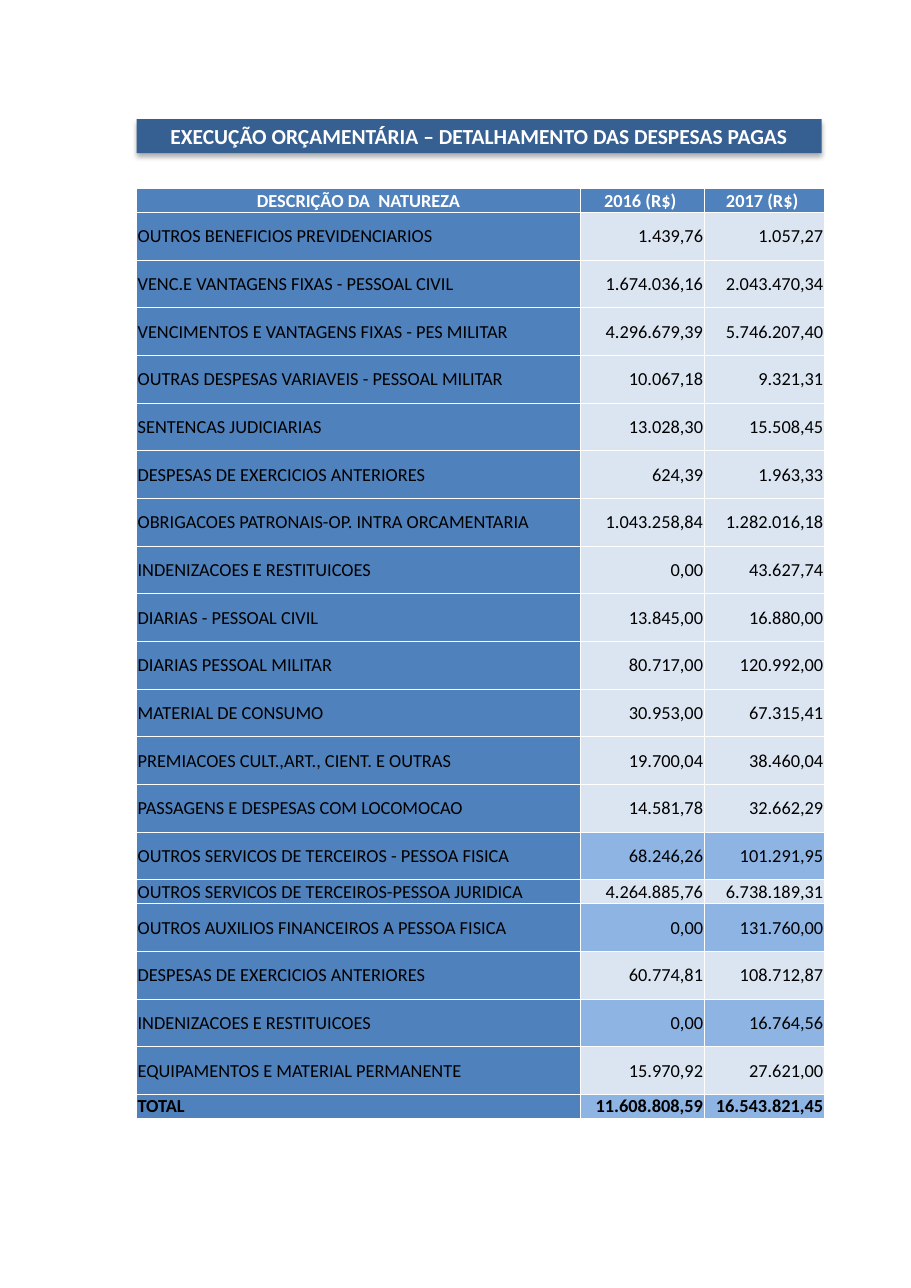
"""Build the budget execution slide: a title bar above a table of paid expenses."""
from typing import NamedTuple

from lxml import etree
from pptx import Presentation
from pptx.dml.color import RGBColor
from pptx.enum.text import MSO_ANCHOR, MSO_AUTO_SIZE, PP_ALIGN
from pptx.oxml.ns import qn
from pptx.util import Pt

LEFT, CENTER, RIGHT = PP_ALIGN.LEFT, PP_ALIGN.CENTER, PP_ALIGN.RIGHT
MIDDLE = MSO_ANCHOR.MIDDLE
NO_AUTOFIT = MSO_AUTO_SIZE.NONE

COLORS = {
    "title": "376092",
    "header": "4F81BC",
    "label": "4F81BD",
    "pale": "DBE5F1",
    "strong": "8DB4E3",
    "white": "FFFFFF",
    "black": "000000",
}
FONT_NAME = "Calibri"
TITLE_ONLY = 5
LEFT_EDGE = Pt(89.3)
COLUMN_WIDTHS = (Pt(290.2), Pt(80.8), Pt(78.6))
SHORT_ROW, TALL_ROW = Pt(15.6), Pt(31.16)


class Expense(NamedTuple):
    """One line of the table, with its look."""
    nature: str
    paid_2016: str
    paid_2017: str
    value_fill: str = "pale"
    label_fill: str = "label"
    height: int = TALL_ROW
    ink: str = "black"
    bold: bool = False
    alignments: tuple = (LEFT, RIGHT, RIGHT)


EXPENSES = (
    Expense("DESCRIÇÃO DA  NATUREZA", "2016 (R$) ", "2017 (R$) ", "header", "header",
            SHORT_ROW, "white", True, (CENTER, CENTER, CENTER)),
    Expense("OUTROS BENEFICIOS PREVIDENCIARIOS", "1.439,76", "1.057,27"),
    Expense("VENC.E VANTAGENS FIXAS - PESSOAL CIVIL", "1.674.036,16", "2.043.470,34"),
    Expense("VENCIMENTOS E VANTAGENS FIXAS - PES MILITAR", "4.296.679,39", "5.746.207,40"),
    Expense("OUTRAS DESPESAS VARIAVEIS - PESSOAL MILITAR", "10.067,18", "9.321,31"),
    Expense("SENTENCAS JUDICIARIAS", "13.028,30", "15.508,45"),
    Expense("DESPESAS DE EXERCICIOS ANTERIORES", "624,39", "1.963,33"),
    Expense("OBRIGACOES PATRONAIS-OP. INTRA ORCAMENTARIA", "1.043.258,84", "1.282.016,18"),
    Expense("INDENIZACOES E RESTITUICOES", "0,00", "43.627,74"),
    Expense("DIARIAS - PESSOAL CIVIL", "13.845,00", "16.880,00"),
    Expense("DIARIAS PESSOAL MILITAR", "80.717,00", "120.992,00"),
    Expense("MATERIAL DE CONSUMO", "30.953,00", "67.315,41"),
    Expense("PREMIACOES CULT.,ART., CIENT. E OUTRAS", "19.700,04", "38.460,04"),
    Expense("PASSAGENS E DESPESAS COM LOCOMOCAO", "14.581,78", "32.662,29"),
    Expense("OUTROS SERVICOS DE TERCEIROS - PESSOA FISICA", "68.246,26", "101.291,95", "strong"),
    Expense("OUTROS SERVICOS DE TERCEIROS-PESSOA JURIDICA", "4.264.885,76", "6.738.189,31",
            height=SHORT_ROW),
    Expense("OUTROS AUXILIOS FINANCEIROS A PESSOA FISICA", "0,00", "131.760,00", "strong"),
    Expense("DESPESAS DE EXERCICIOS ANTERIORES", "60.774,81", "108.712,87"),
    Expense("INDENIZACOES E RESTITUICOES", "0,00", "16.764,56", "strong"),
    Expense("EQUIPAMENTOS E MATERIAL PERMANENTE", "15.970,92", "27.621,00"),
    Expense("TOTAL", "11.608.808,59", "16.543.821,45", "strong", height=SHORT_ROW, bold=True),
)


def rgb(color: str) -> RGBColor:
    """Look up a named colour."""
    return RGBColor.from_string(COLORS[color])


def paint(part, color: str) -> None:
    """Give a shape or cell a solid fill."""
    part.fill.solid()
    part.fill.fore_color.rgb = rgb(color)


def write(paragraph, text: str, size: int, color: str, bold: bool, alignment) -> None:
    """Set the text of a paragraph and its format."""
    paragraph.text = text
    paragraph.alignment = alignment
    font = paragraph.font
    font.name, font.size, font.bold = FONT_NAME, Pt(size), bold
    font.color.rgb = rgb(color)


def add_color(parent, color: str):
    """Append a colour element and return it."""
    return etree.SubElement(parent, qn("a:srgbClr"), val=COLORS[color])


def add_shadow(shape) -> None:
    """Drop a soft shadow straight below a shape."""
    effects = etree.SubElement(shape.element.spPr, qn("a:effectLst"))
    shadow = etree.SubElement(effects, qn("a:outerShdw"), blurRad=str(Pt(3.5)),
                              dist=str(Pt(2.2)), dir="5400000", rotWithShape="0")
    etree.SubElement(add_color(shadow, "black"), qn("a:alpha"), val="32000")


def add_borders(cell) -> None:
    """Draw thin white lines on all four sides of a cell."""
    properties = cell._tc.get_or_add_tcPr()
    for side in ("a:lnL", "a:lnR", "a:lnT", "a:lnB"):
        line = etree.SubElement(properties, qn(side), w=str(Pt(0.5)))
        add_color(etree.SubElement(line, qn("a:solidFill")), "white")


def format_title(title) -> None:
    """Turn the title placeholder into the title bar."""
    title.left, title.top, title.width, title.height = LEFT_EDGE, Pt(77.8), Pt(447.8), Pt(22.3)
    paint(title, "title")
    title.line.fill.background()
    add_shadow(title)
    frame = title.text_frame
    frame.auto_size = NO_AUTOFIT
    frame.word_wrap = True
    frame.vertical_anchor = MIDDLE
    frame.margin_top = frame.margin_bottom = 0
    write(frame.paragraphs[0], "EXECUÇÃO ORÇAMENTÁRIA – DETALHAMENTO DAS DESPESAS PAGAS",
          14, "white", True, CENTER)


def fill_row(cells, expense: Expense) -> None:
    """Write and format the three cells of an expense."""
    texts = (expense.nature, expense.paid_2016, expense.paid_2017)
    fills = (expense.label_fill, expense.value_fill, expense.value_fill)
    for cell, text, fill, alignment in zip(cells, texts, fills, expense.alignments):
        cell.margin_left = cell.margin_right = cell.margin_top = Pt(0.7)
        cell.margin_bottom = 0
        cell.vertical_anchor = MIDDLE
        add_borders(cell)
        paint(cell, fill)
        write(cell.text_frame.paragraphs[0], text, 12, expense.ink, expense.bold, alignment)


def add_expenses(slide) -> None:
    """Add the table of paid expenses."""
    height = sum(expense.height for expense in EXPENSES)
    table = slide.shapes.add_table(len(EXPENSES), len(COLUMN_WIDTHS), LEFT_EDGE, Pt(123.1),
                                   sum(COLUMN_WIDTHS), height).table
    table.first_row = table.horz_banding = False
    for column, width in zip(table.columns, COLUMN_WIDTHS):
        column.width = width
    for row, expense in zip(table.rows, EXPENSES):
        row.height = expense.height
        fill_row(row.cells, expense)


def main() -> None:
    """Build and save the presentation."""
    presentation = Presentation()
    presentation.slide_width, presentation.slide_height = Pt(595.44), Pt(841.68)
    slide = presentation.slides.add_slide(presentation.slide_layouts[TITLE_ONLY])
    format_title(slide.shapes.title)
    add_expenses(slide)
    presentation.save("out.pptx")


main()
